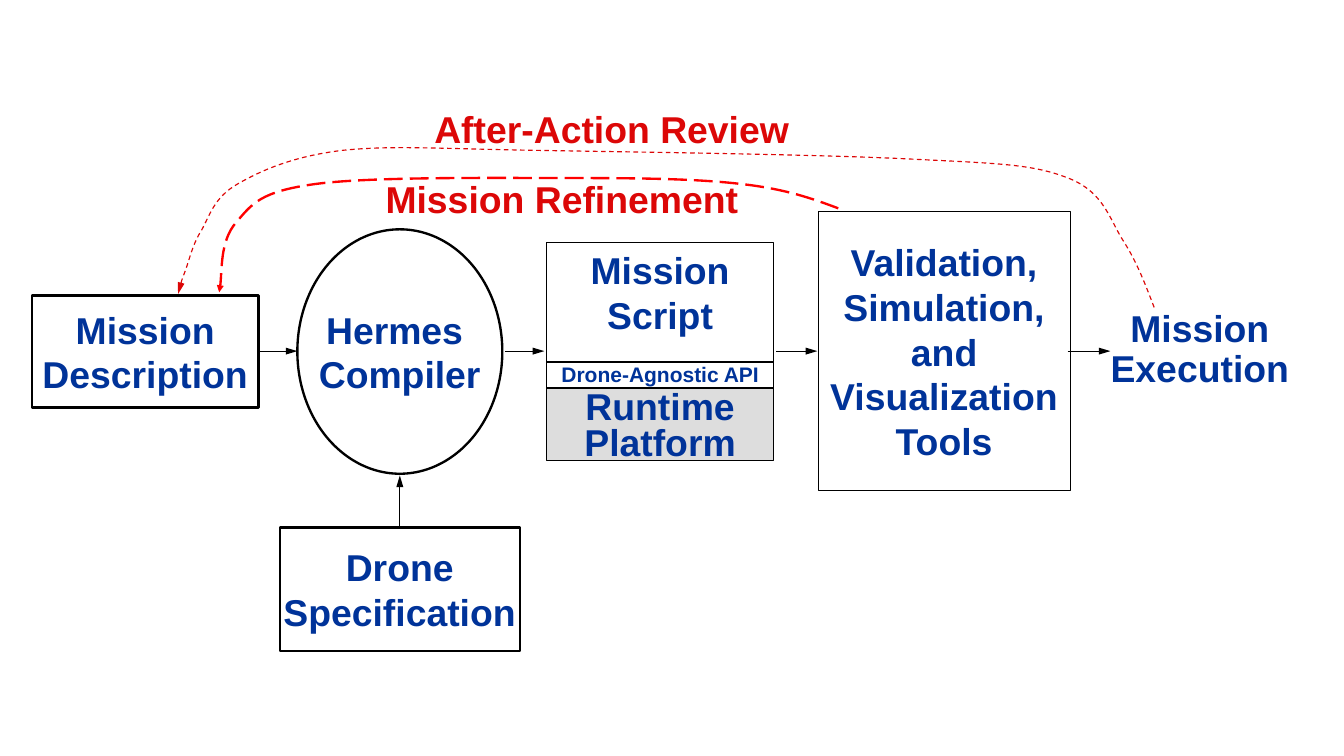
"""Draw the drone mission workflow slide."""
from dataclasses import dataclass
from typing import Any, NamedTuple

from lxml.etree import SubElement
from pptx import Presentation
from pptx.dml.color import RGBColor
from pptx.enum.dml import MSO_LINE
from pptx.enum.shapes import MSO_CONNECTOR, MSO_SHAPE
from pptx.enum.text import MSO_ANCHOR, PP_ALIGN
from pptx.oxml.ns import qn
from pptx.util import Emu, Pt

SCALE = 9144


@dataclass(frozen=True)
class Theme:
    """Colours, font and type sizes."""
    ink: str = "000000"
    blue: str = "003399"
    red: str = "DC0707"
    bright: str = "FF0000"
    gray: str = "DDDDDD"
    font: str = "Arial"
    large: int = 32
    small: int = 18


THEME = Theme()


class Area(NamedTuple):
    """A rectangle in px."""
    left: int
    top: int
    width: int
    height: int


@dataclass(frozen=True)
class Box:
    """An outlined shape with text."""
    text: str
    area: Area
    line: int = 1
    kind: MSO_SHAPE = MSO_SHAPE.RECTANGLE
    fill: str = ""
    size: int = THEME.large
    space: float = 1.0
    anchor: MSO_ANCHOR = MSO_ANCHOR.MIDDLE
    inset: tuple[int, int] = (10, 5)


@dataclass(frozen=True)
class Label:
    """A text without a frame."""
    text: str
    area: Area
    color: str = THEME.red
    align: PP_ALIGN = PP_ALIGN.LEFT
    space: float = 1.0


@dataclass(frozen=True)
class Curve:
    """A dashed feedback path of cubic pieces."""
    points: tuple[tuple[int, int], ...]
    color: str
    width: int
    dash: MSO_LINE
    head: str


BOXES = (
    Box("Hermes \nCompiler", Area(354, 273, 244, 291), 2, MSO_SHAPE.OVAL),
    Box("Mission\vDescription", Area(38, 352, 270, 133), 2),
    Box("Drone\vSpecification", Area(333, 628, 286, 147), 2),
    Box("Validation,\vSimulation,\vand\vVisualization\vTools", Area(974, 252, 300, 332)),
)
STACK = (
    Box("Mission\vScript", Area(651, 289, 270, 173), anchor=MSO_ANCHOR.TOP),
    Box("Runtime\vPlatform", Area(651, 462, 270, 86), fill=THEME.gray,
        space=0.8, anchor=MSO_ANCHOR.TOP),
    Box("Drone-Agnostic API", Area(651, 431, 270, 30), size=THEME.small, inset=(0, 0)),
)
LABELS = (
    Label("Mission\vExecution", Area(1320, 369, 217, 96), THEME.blue, PP_ALIGN.CENTER, 0.9),
    Label("Mission Refinement", Area(459, 210, 430, 53)),
    Label("After-Action Review", Area(517, 127, 430, 53)),
)
ARROWS = (
    (307, 418, 354, 418),
    (601, 418, 648, 418),
    (924, 418, 973, 418),
    (1271, 418, 1322, 418),
    (476, 626, 476, 566),
)
CURVES = (
    Curve(((998, 248), (966, 236), (935, 225), (882, 219), (830, 213), (768, 212),
           (684, 212), (600, 212), (443, 210), (376, 219), (309, 228), (300, 243),
           (281, 265), (262, 287), (265, 331), (261, 348)),
          THEME.bright, 2, MSO_LINE.LONG_DASH, "med"),
    Curve(((1374, 366), (1364, 340), (1354, 313), (1338, 288), (1321, 262), (1315, 230),
           (1274, 213), (1234, 197), (1202, 195), (1095, 190), (989, 184), (750, 181),
           (635, 179), (521, 177), (467, 173), (408, 179), (349, 186), (311, 203),
           (283, 219), (255, 235), (250, 256), (240, 274), (229, 291), (225, 311),
           (220, 324), (215, 337), (213, 346), (212, 350)),
          THEME.red, 1, MSO_LINE.DASH, "lg"),
)


def px(*values: int) -> list[Emu]:
    """Turn px into EMU."""
    return [Emu(v * SCALE) for v in values]


def apply(target: Any, values: dict[str, Any]) -> None:
    """Set each named value on the target."""
    for name, value in values.items():
        setattr(target, name, value)


def stroke(line: Any, color: str, width: int) -> None:
    """Set the colour and width of a line."""
    line.color.rgb = RGBColor.from_string(color)
    line.width = Pt(width)


def tip(shape: Any, length: str) -> None:
    """Put an arrowhead at the end of a line."""
    SubElement(shape.line._get_or_add_ln(), qn("a:tailEnd"), type="triangle", w="med", len=length)


def write(shape: Any, text: str, color: str, size: int, space: float, align: PP_ALIGN,
          anchor: MSO_ANCHOR, inset: tuple[int, int]) -> None:
    """Fill a shape with styled text."""
    side, edge = px(*inset)
    frame = shape.text_frame
    frame.text = text
    apply(frame, {"word_wrap": False, "vertical_anchor": anchor, "margin_left": side,
                  "margin_right": side, "margin_top": edge, "margin_bottom": edge})
    for para in frame.paragraphs:
        apply(para, {"alignment": align, "line_spacing": space})
        for run in para.runs:
            apply(run.font, {"name": THEME.font, "size": Pt(size), "bold": True})
            run.font.color.rgb = RGBColor.from_string(color)


def draw_box(shapes: Any, box: Box) -> None:
    """Draw an outlined box."""
    shape = shapes.add_shape(box.kind, *px(*box.area))
    shape.shadow.inherit = False
    if box.fill:
        shape.fill.solid()
        shape.fill.fore_color.rgb = RGBColor.from_string(box.fill)
    else:
        shape.fill.background()
    stroke(shape.line, THEME.ink, box.line)
    write(shape, box.text, THEME.blue, box.size, box.space, PP_ALIGN.CENTER,
          box.anchor, box.inset)


def draw_label(shapes: Any, label: Label) -> None:
    """Draw a free text."""
    shape = shapes.add_textbox(*px(*label.area))
    write(shape, label.text, label.color, THEME.large, label.space, label.align,
          MSO_ANCHOR.TOP, (0, 0))


def draw_arrow(shapes: Any, ends: tuple[int, int, int, int]) -> None:
    """Draw a straight arrow."""
    arrow = shapes.add_connector(MSO_CONNECTOR.STRAIGHT, *px(*ends))
    stroke(arrow.line, THEME.ink, 1)
    tip(arrow, "lg")
    SubElement(arrow._element.spPr, qn("a:effectLst"))


def draw_curve(shapes: Any, curve: Curve) -> None:
    """Draw a freeform, joining each three points into a cubic piece."""
    build = shapes.build_freeform(*curve.points[0], scale=SCALE)
    build.add_line_segments(curve.points[1:], close=False)
    shape = build.convert_to_shape()
    route = next(shape._element.iter(qn("a:path")))
    steps = route.findall(qn("a:lnTo"))
    for start in range(0, len(steps), 3):
        piece = SubElement(route, qn("a:cubicBezTo"))
        for step in steps[start:start + 3]:
            piece.append(step[0])
            route.remove(step)
    shape.shadow.inherit = False
    shape.fill.background()
    stroke(shape.line, curve.color, curve.width)
    shape.line.dash_style = curve.dash
    tip(shape, curve.head)


def main() -> None:
    """Build and save the slide."""
    deck = Presentation()
    deck.slide_width, deck.slide_height = px(1600, 900)
    shapes = deck.slides.add_slide(deck.slide_layouts[6]).shapes
    for box in BOXES:
        draw_box(shapes, box)
    for ends in ARROWS:
        draw_arrow(shapes, ends)
    for curve in CURVES:
        draw_curve(shapes, curve)
    for label in LABELS:
        draw_label(shapes, label)
    group = shapes.add_group_shape()
    for box in STACK:
        draw_box(group.shapes, box)
    deck.save("out.pptx")


if __name__ == "__main__":
    main()
